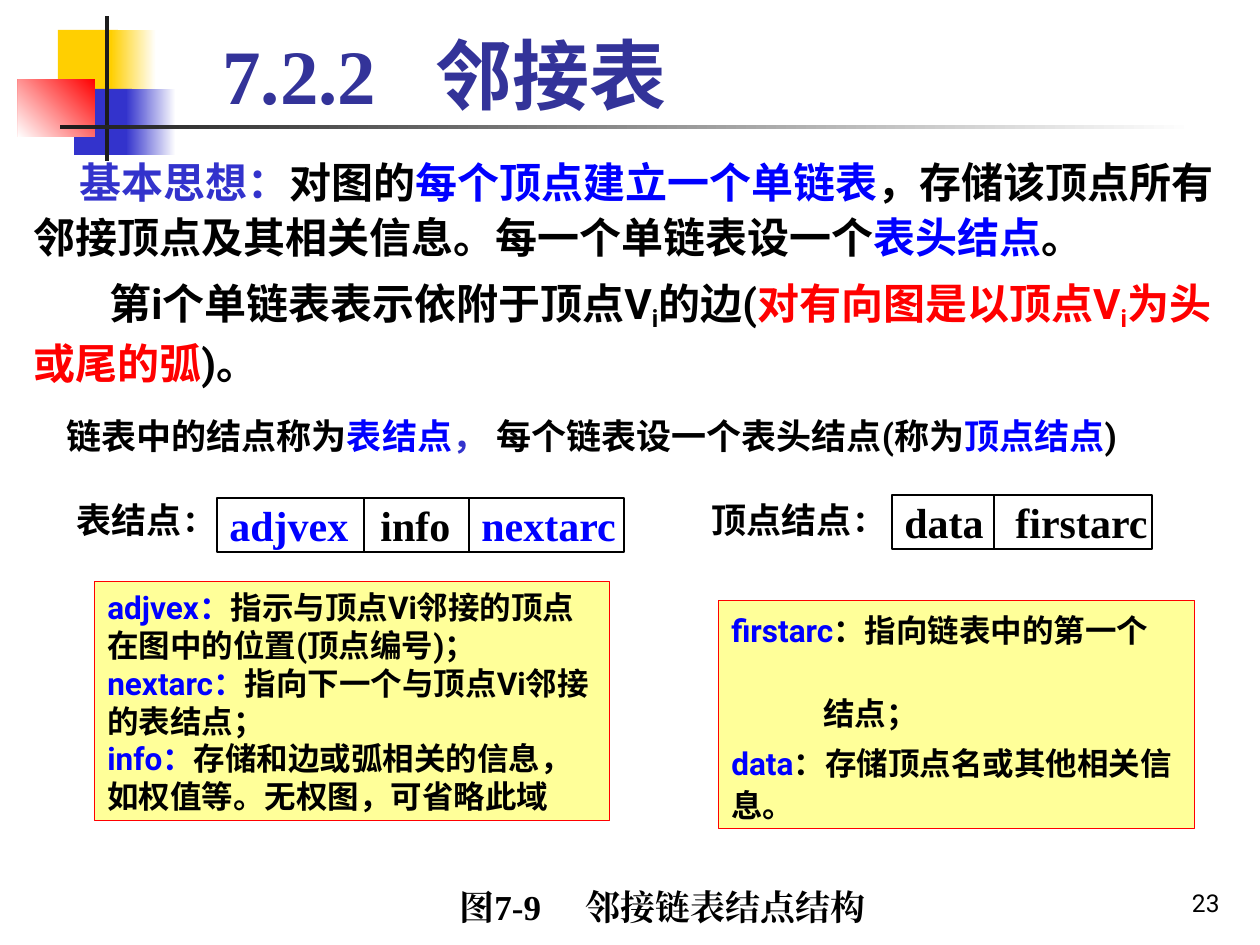
from lxml import etree
from pptx import Presentation
from pptx import util as u
from pptx.dml.color import RGBColor
from pptx.enum import shapes, text
from pptx.oxml import ns

SCALE = 914400 / 126
BLACK, BLUE, INDIGO, RED, WHITE = "000000", "0000FF", "3333CC", "FF0000", "FFFFFF"
YELLOW, CHARCOAL, TITLE_BLUE, NOTE = "FFCF01", "1C1C1C", "333399", "FFFF99"
SANS, SERIF, CJK = "Roboto", "Times New Roman", "Noto Sans CJK SC"
TOP, MIDDLE, BOTTOM = text.MSO_ANCHOR.TOP, text.MSO_ANCHOR.MIDDLE, text.MSO_ANCHOR.BOTTOM


def px(length):
    return u.Emu(round(length * SCALE))


def color(value):
    return RGBColor.from_string(value)


def add_run(paragraph, words, ink, size, font, bold, baseline=0):
    run = paragraph.add_run()
    run.text = words
    run.font.size = u.Pt(size)
    run.font.bold = bold
    run.font.name = font
    run.font.color.rgb = color(ink)
    properties = run._r.get_or_add_rPr()
    etree.SubElement(properties, ns.qn("a:ea")).set("typeface", font)
    if baseline:
        properties.set("baseline", str(baseline * 1000))


def set_tabs(paragraph, stops):
    tab_list = etree.SubElement(paragraph._p.get_or_add_pPr(), ns.qn("a:tabLst"))
    for stop in stops:
        tab = etree.SubElement(tab_list, ns.qn("a:tab"))
        tab.set("pos", str(px(stop)))
        tab.set("algn", "l")


def write(shape, paragraphs, size, font=SANS, anchor=TOP, wrap=True, bold=True,
          spacing=None, before=(), indents=(), tabs=(), align=text.PP_ALIGN.LEFT):
    frame = shape.text_frame
    frame.word_wrap = wrap
    frame.vertical_anchor = anchor
    if tabs:
        frame.margin_right = 0
    for index, runs in enumerate(paragraphs):
        paragraph = frame.add_paragraph() if index else frame.paragraphs[0]
        paragraph.alignment = align
        if spacing:
            paragraph.line_spacing = spacing
        if index and before:
            paragraph.space_before = u.Pt(before[index - 1])
        if indents:
            paragraph._p.get_or_add_pPr().set("indent", str(px(indents[index])))
        if tabs:
            set_tabs(paragraph, tabs)
        for words, ink, *extra in runs:
            style = {"font": font, **(extra[0] if extra else {})}
            add_run(paragraph, words, ink, size, bold=bold, **style)


def add_text(slide, box, paragraphs, size, **style):
    label = slide.shapes.add_textbox(*map(px, box))
    write(label, paragraphs, size, **style)


def add_box(slide, box, fill=None, line=None, width=0.75):
    shape = slide.shapes.add_shape(shapes.MSO_SHAPE.RECTANGLE, *map(px, box))
    shape.shadow.inherit = False
    if fill:
        shape.fill.solid()
        shape.fill.fore_color.rgb = color(fill)
    else:
        shape.fill.background()
    if line:
        shape.line.color.rgb = color(line)
        shape.line.width = u.Pt(width)
    else:
        shape.line.fill.background()
    return shape


def add_fade(slide, box, start, end, angle=180):
    shape = add_box(slide, box)
    shape.fill.gradient()
    shape.fill.gradient_angle = angle
    for stop, ink in zip(shape.fill.gradient_stops, (start, end)):
        stop.color.rgb = color(ink)


def add_divider(slide, x, top, height):
    divider = slide.shapes.add_connector(
        shapes.MSO_CONNECTOR.STRAIGHT, px(x), px(top), px(x), px(top + height))
    divider.line.color.rgb = color(BLACK)
    divider.line.width = u.Pt(0.75)
    etree.SubElement(divider._element.spPr, ns.qn("a:effectLst"))


def add_node(slide, box, fields, dividers, tabs):
    left, top, width, height = box
    node = add_box(slide, box, line=BLACK)
    write(node, [fields], 24, font=SERIF, anchor=MIDDLE, tabs=tabs)
    for x in dividers:
        add_divider(slide, x, top, height)


def add_node_label(slide, box, name):
    add_text(slide, box, [[(name, BLACK), ("：", BLACK, {"font": SERIF})]], 20,
             font=CJK, anchor=MIDDLE, wrap=False)


def add_note(slide, box, paragraphs, **style):
    note = add_box(slide, box, fill=NOTE, line=RED, width=0.5)
    write(note, paragraphs, 18, **style)


def add_ornament(slide):
    add_box(slide, (58, 30, 60, 66), YELLOW)
    add_fade(slide, (111, 30, 45, 66), WHITE, YELLOW)
    add_box(slide, (74, 89, 58, 66), INDIGO)
    add_fade(slide, (126, 89, 50, 66), WHITE, INDIGO)
    add_fade(slide, (18, 79, 77, 58), RED, WHITE, angle=225)
    add_box(slide, (105, 16, 4, 145), CHARCOAL)
    add_fade(slide, (60, 125, 1134, 4), WHITE, CHARCOAL)


def main():
    deck = Presentation()
    deck.slide_width, deck.slide_height = px(1260), px(945)
    slide = deck.slides.add_slide(deck.slide_layouts[6])
    add_ornament(slide)
    add_text(slide, (210, 21, 725, 105),
             [[("7.2.2\t", TITLE_BLUE, {"font": SERIF}), ("邻接表", TITLE_BLUE)]],
             44, anchor=BOTTOM, tabs=[213])

    subscript = {"baseline": -18}
    add_text(slide, (21, 145, 1218, 257), [
        [("基本思想：", INDIGO), ("对图的", BLACK), ("每个顶点建立一个单链表", BLUE),
         ("，存储该顶点所有邻接顶点及其相关信息。每一个单链表设一个", BLACK),
         ("表头结点", BLUE), ("。", BLACK)],
        [("第i个单链表表示依附于顶点V", BLACK), ("i", BLACK, subscript), ("的边(", BLACK),
         ("对有向图是以顶点V", RED), ("i", RED, subscript), ("为头或尾的弧", RED),
         (")。", BLACK)],
    ], 24, spacing=1.1, before=[6], indents=[46, 76])

    add_text(slide, (54, 408, 1101, 55), [
        [("链表中的结点称为", BLACK), ("表结点", BLUE), ("， ", INDIGO),
         ("每个链表设一个表头结点(称为", BLACK), ("顶点结点", BLUE), (")", BLACK)],
    ], 20)

    add_node_label(slide, (64, 495, 149, 49), "表结点")
    add_node(slide, (217, 498, 407, 54),
             [("adjvex\t", BLUE), ("info\t", BLACK), ("nextarc", BLUE)],
             dividers=[364, 469], tabs=[151, 252])
    add_node_label(slide, (699, 495, 188, 49), "顶点结点")
    add_node(slide, (892, 495, 260, 54), [("data\tfirstarc", BLACK)],
             dividers=[994], tabs=[111])

    add_note(slide, (95, 582, 515, 239), [
        [("adjvex：", BLUE), ("指示与顶点Vi邻接的顶点在图中的位置(顶点编号)；", BLACK)],
        [("nextarc：", BLUE), ("指向下一个与顶点Vi邻接的表结点；", BLACK)],
        [("info：", BLUE), ("存储和边或弧相关的信息，如权值等。无权图，可省略此域", BLACK)],
    ])
    add_note(slide, (719, 601, 476, 228), [
        [("firstarc", BLUE), ("：指向链表中的第一个", BLACK)],
        [("结点；", BLACK)],
        [("data", BLUE), ("：存储顶点名或其他相关信息。", BLACK)],
    ], spacing=1.1, before=[24, 4.5], indents=[0, 92, 0])

    add_text(slide, (447, 885, 430, 44), [[("图7-9\t邻接链表结点结构", BLACK)]], 20,
             font=SERIF, anchor=MIDDLE, tabs=[126])
    add_text(slide, (970, 861, 262, 63), [[("23", BLACK)]], 14,
             anchor=BOTTOM, bold=False, align=text.PP_ALIGN.RIGHT)
    deck.save("out.pptx")


if __name__ == "__main__":
    main()
